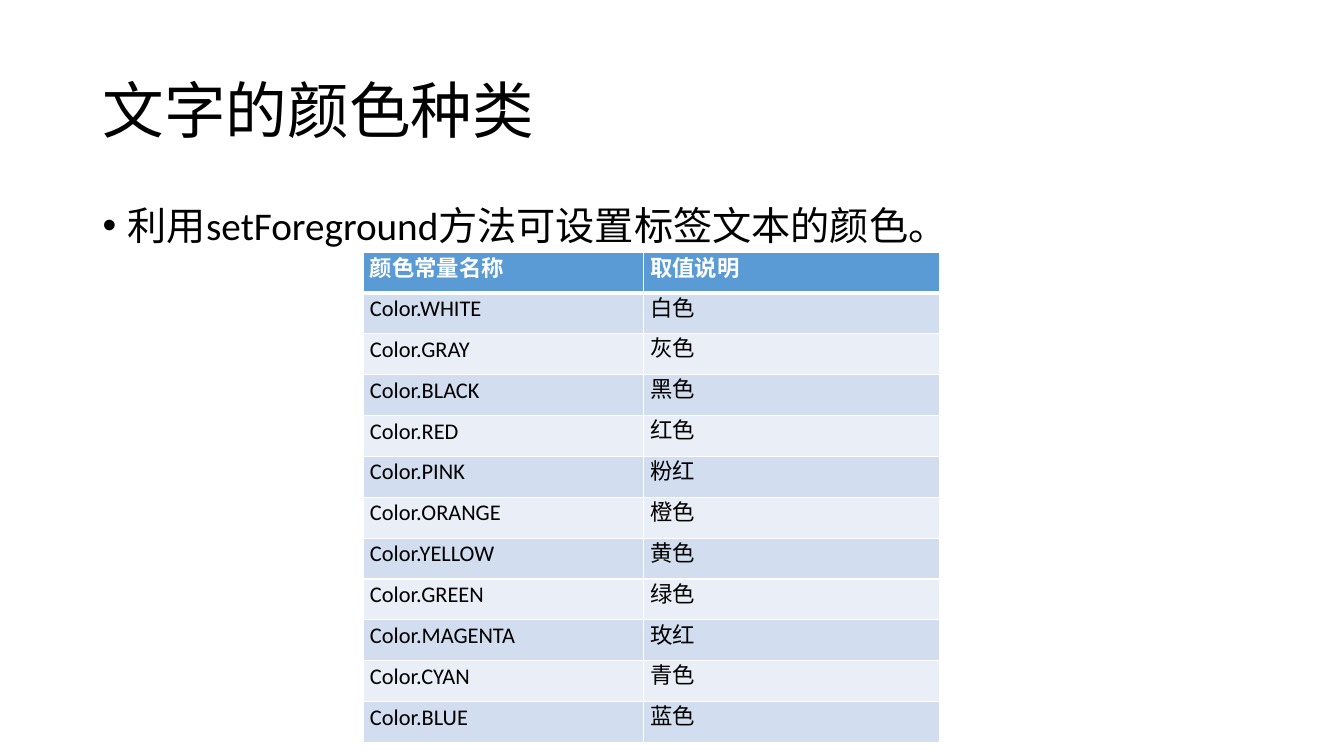
import pptx
import pptx.dml.color
import pptx.enum.text
import pptx.oxml.ns
import pptx.util
from lxml import etree
from pptx.util import Inches

ANCHOR = pptx.enum.text.MSO_ANCHOR
ALIGN = pptx.enum.text.PP_ALIGN


def color(hex_string):
    return pptx.dml.color.RGBColor.from_string(hex_string)


def add_xml(parent, tag, **attributes):
    return etree.SubElement(parent, pptx.oxml.ns.qn(tag), attributes)


def write_text(frame, text, *, size, font, fill="000000", bold=False,
               align=ALIGN.LEFT, spacing=0.9, before=0, anchor=ANCHOR.TOP):
    frame.word_wrap = True
    frame.vertical_anchor = anchor
    paragraph = frame.paragraphs[0]
    paragraph.alignment = align
    paragraph.line_spacing = spacing
    paragraph.space_before = pptx.util.Pt(before)
    run = paragraph.add_run()
    run.text = text
    run.font.name = font
    run.font.size = pptx.util.Pt(size)
    run.font.bold = bold
    run.font.color.rgb = color(fill)
    return paragraph


class SlideBuilder:
    font = "Calibri"
    header_fill = "5B9BD5"
    band_fills = ("D2DEEF", "EAEFF7")
    border = "FFFFFF"

    def __init__(self, slide):
        self.slide = slide

    def text(self, text, left, top, width, height, **text_format):
        box = self.slide.shapes.add_textbox(
            Inches(left), Inches(top), Inches(width), Inches(height))
        return write_text(box.text_frame, text, font=self.font, **text_format)

    def bullet(self, text, left, top, width, height, **text_format):
        paragraph = self.text(text, left, top, width, height, **text_format)
        properties = paragraph._p.get_or_add_pPr()
        properties.set("marL", str(Inches(0.25)))
        properties.set("indent", str(-Inches(0.25)))
        add_xml(properties, "a:buFont", typeface="Arial")
        add_xml(properties, "a:buChar", char="•")

    def borders(self, cell, bottom):
        properties = cell._tc.get_or_add_tcPr()
        for side, points in (("L", 1), ("R", 1), ("T", 1), ("B", bottom)):
            line = add_xml(properties, "a:ln" + side, w=str(pptx.util.Pt(points)))
            add_xml(add_xml(line, "a:solidFill"), "a:srgbClr", val=self.border)

    def table(self, rows, left, top, widths, height):
        table = self.slide.shapes.add_table(
            len(rows), len(widths), Inches(left), Inches(top),
            Inches(sum(widths)), Inches(height)).table
        for column, width in zip(table.columns, widths):
            column.width = Inches(width)
        for row_index, row in enumerate(rows):
            for column_index, text in enumerate(row):
                self.cell(table.cell(row_index, column_index), text, row_index)

    def cell(self, cell, text, row_index):
        header = row_index == 0
        # The line under the header and the line over the first row are one
        self.borders(cell, bottom=3 if header else 1)
        if row_index == 1:
            top_line = cell._tc.tcPr.find(pptx.oxml.ns.qn("a:lnT"))
            top_line.set("w", str(pptx.util.Pt(3)))
        cell.fill.solid()
        cell.fill.fore_color.rgb = color(
            self.header_fill if header else self.band_fills[(row_index - 1) % 2])
        cell.margin_left = cell.margin_right = Inches(0.07)
        cell.margin_top = cell.margin_bottom = 0
        write_text(cell.text_frame, text, size=16, font=self.font, bold=header,
                   fill="FFFFFF" if header else "000000",
                   align=ALIGN.JUSTIFY if header else ALIGN.LEFT,
                   spacing=pptx.util.Pt(15.6 if header else 13))
        cell.vertical_anchor = ANCHOR.MIDDLE


presentation = pptx.Presentation()
presentation.slide_width = Inches(13.33)
presentation.slide_height = Inches(7.5)
builder = SlideBuilder(presentation.slides.add_slide(presentation.slide_layouts[6]))

# Title and bullet
builder.text("文字的颜色种类", 0.92, 0.4, 11.5, 1.45, size=44, anchor=ANCHOR.MIDDLE)
builder.bullet("利用setForeground方法可设置标签文本的颜色。",
               0.92, 2, 11.5, 4.76, size=28, before=10)

# Table of color constants
color_names = {
    "WHITE": "白色", "GRAY": "灰色", "BLACK": "黑色", "RED": "红色",
    "PINK": "粉红", "ORANGE": "橙色", "YELLOW": "黄色", "GREEN": "绿色",
    "MAGENTA": "玫红", "CYAN": "青色", "BLUE": "蓝色",
}
rows = [("颜色常量名称", "取值说明")]
rows += [("Color." + constant, meaning) for constant, meaning in color_names.items()]
builder.table(rows, 3.6, 2.5, widths=(2.78, 2.94), height=4.87)

presentation.save("out.pptx")
